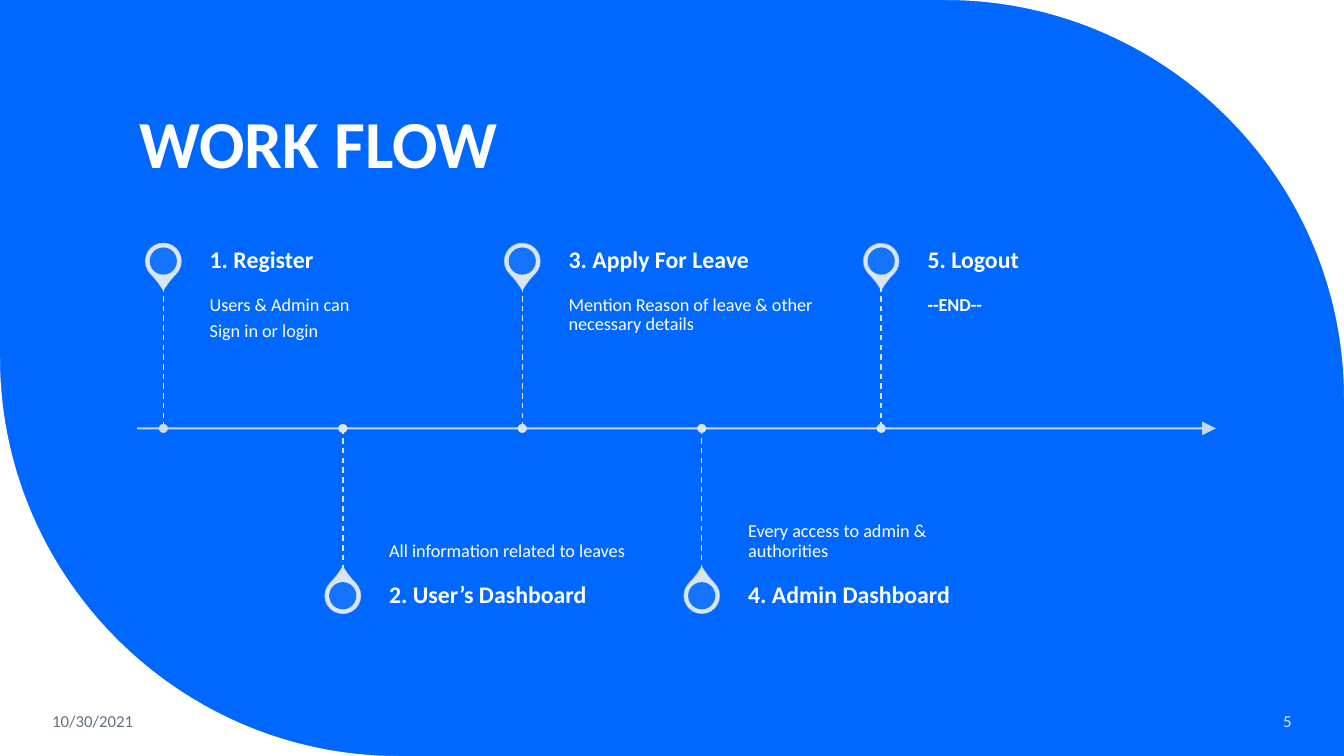
"""Build the work flow timeline slide."""
from dataclasses import dataclass

from lxml import etree
from pptx import Presentation
from pptx.dml.color import RGBColor
from pptx.enum.dml import MSO_LINE
from pptx.enum.shapes import MSO_CONNECTOR, MSO_SHAPE
from pptx.enum.text import MSO_ANCHOR, MSO_AUTO_SIZE, PP_ALIGN
from pptx.oxml.ns import qn
from pptx.util import Inches, Pt

OVAL, TEARDROP = MSO_SHAPE.OVAL, MSO_SHAPE.TEAR
STRAIGHT = MSO_CONNECTOR.STRAIGHT
DASH = MSO_LINE.DASH
TOP, MIDDLE, BOTTOM = MSO_ANCHOR.TOP, MSO_ANCHOR.MIDDLE, MSO_ANCHOR.BOTTOM
LEFT, RIGHT = PP_ALIGN.LEFT, PP_ALIGN.RIGHT
NO_AUTOFIT = MSO_AUTO_SIZE.NONE


@dataclass(frozen=True)
class Theme:
    font: str = "Calibri"
    blue: str = "0068FF"
    white: str = "FFFFFF"
    pale: str = "DAE5EF"
    first_dot: str = "D0DBE4"
    grey: str = "637183"
    title_size: int = 48
    heading_size: int = 17
    body_size: int = 13
    footer_size: int = 12


@dataclass(frozen=True)
class TextStyle:
    size: int
    color: str
    bold: bool = False
    anchor: MSO_ANCHOR = MIDDLE
    align: PP_ALIGN = LEFT
    insets: tuple = (0.1, 0.05, 0.1, 0.05)
    line_spacing: float = 1.0
    space_after: float = 0


@dataclass(frozen=True)
class Milestone:
    heading: str
    body: str
    outline_alpha: int
    dot_color: str = Theme.pale
    bold_body: bool = False


THEME = Theme()
WIDTH, HEIGHT = 13.33, 7.5
CORNER_RADIUS, CURVE_PULL = 3.95, 0.55
AXIS_Y = 4.25
FIRST_X, STEP_X = 1.62, 1.78
PIN_OFFSET, PIN_SIZE, HOLE_SIZE, DOT_SIZE = 1.66, 0.35, 0.27, 0.09
STEM = 1.41
TEXT_OFFSET, TEXT_WIDTH, HEADING_HEIGHT = 0.46, 2.54, 0.5

MILESTONES = (
    Milestone("1. Register", "Users & Admin can\nSign in or login", 90, THEME.first_dot),
    Milestone("2. User’s Dashboard", "All information related to leaves", 80),
    Milestone("3. Apply For Leave", "Mention Reason of leave & other necessary details", 70),
    Milestone("4. Admin Dashboard", "Every access to admin & authorities", 60),
    Milestone("5. Logout", "--END--", 50, bold_body=True),
)


def rgb(color: str) -> RGBColor:
    return RGBColor.from_string(color)


def set_alpha(parent, percent: int) -> None:
    color = parent.find(qn("a:solidFill")).find(qn("a:srgbClr"))
    etree.SubElement(color, qn("a:alpha")).set("val", str(percent * 1000))


def paint(shape, color: str) -> None:
    shape.shadow.inherit = False
    shape.fill.solid()
    shape.fill.fore_color.rgb = rgb(color)
    shape.line.fill.background()


def write(shape, text: str, style: TextStyle) -> None:
    frame = shape.text_frame
    frame.text = text
    frame.word_wrap = True
    frame.auto_size = NO_AUTOFIT
    frame.vertical_anchor = style.anchor
    (frame.margin_left, frame.margin_top,
     frame.margin_right, frame.margin_bottom) = map(Inches, style.insets)
    for paragraph in frame.paragraphs:
        paragraph.alignment = style.align
        paragraph.line_spacing = style.line_spacing
        paragraph.space_after = Pt(style.space_after)
        for run in paragraph.runs:
            run.font.name = THEME.font
            run.font.size = Pt(style.size)
            run.font.bold = style.bold
            run.font.color.rgb = rgb(style.color)


def add_text(slide, box: tuple, text: str, style: TextStyle) -> None:
    write(slide.shapes.add_textbox(*map(Inches, box)), text, style)


def add_centered(slide, kind: MSO_SHAPE, x: float, y: float, size: float, color: str):
    shape = slide.shapes.add_shape(
        kind, Inches(x - size / 2), Inches(y - size / 2), Inches(size), Inches(size))
    paint(shape, color)
    return shape


def add_line(slide, start: tuple, end: tuple, width: float):
    line = slide.shapes.add_connector(STRAIGHT, *map(Inches, start + end))
    line.line.color.rgb = rgb(THEME.pale)
    line.line.width = Pt(width)
    etree.SubElement(line.element.spPr, qn("a:effectLst"))
    return line


def add_corner(slide, corner: tuple, direction: int) -> None:
    """Draw the white area between a slide corner and its rounded edge."""
    x, y = map(Inches, corner)
    reach = direction * Inches(CORNER_RADIUS)
    builder = slide.shapes.build_freeform(x, y)
    builder.add_line_segments([(x - reach, y), (x, y + reach)], close=True)
    shape = builder.convert_to_shape()
    paint(shape, THEME.white)

    edge = list(shape.element.iter(qn("a:lnTo")))[1]
    edge.tag = qn("a:cubicBezTo")
    pull = CURVE_PULL * reach
    controls = ((x - reach + pull, y), (x, y + reach - pull))
    for position, (control_x, control_y) in enumerate(controls):
        point = etree.Element(qn("a:pt"))
        point.set("x", str(round(control_x - shape.left)))
        point.set("y", str(round(control_y - shape.top)))
        edge.insert(position, point)


def add_axis(slide) -> None:
    axis = add_line(slide, (1.36, AXIS_Y), (12.06, AXIS_Y), 1.5)
    outline = axis.element.spPr.find(qn("a:ln"))
    set_alpha(outline, 90)
    arrowhead = etree.SubElement(outline, qn("a:tailEnd"))
    for name, value in (("type", "triangle"), ("w", "lg"), ("len", "lg")):
        arrowhead.set(name, value)


def add_milestone(slide, index: int, milestone: Milestone) -> None:
    above = index % 2 == 0
    side = -1 if above else 1
    x = FIRST_X + index * STEP_X
    pin_y = AXIS_Y + side * PIN_OFFSET
    text_x = x + TEXT_OFFSET

    pin = add_centered(slide, TEARDROP, x, pin_y, PIN_SIZE, THEME.pale)
    pin.adjustments[0] = 1.15
    pin.rotation = 135 if above else 315
    pin.line.color.rgb = rgb(THEME.pale)
    pin.line.width = Pt(1)
    set_alpha(pin.element.spPr.find(qn("a:ln")), milestone.outline_alpha)
    hole = add_centered(slide, OVAL, x, pin_y, HOLE_SIZE, THEME.blue)
    set_alpha(hole.element.spPr, 90)

    body_style = TextStyle(
        THEME.body_size, THEME.white, milestone.bold_body, TOP if above else BOTTOM,
        insets=(0, 0.09, 0.09, 0.14) if above else (0, 0.14, 0, 0.09),
        line_spacing=0.9, space_after=4.55)
    body_top = AXIS_Y - STEM if above else AXIS_Y
    add_text(slide, (text_x, body_top, TEXT_WIDTH, STEM), milestone.body, body_style)
    heading_style = TextStyle(THEME.heading_size, THEME.white, True,
                              insets=(0, 0, 0.12, 0), line_spacing=0.9)
    add_text(slide, (text_x, pin_y - HEADING_HEIGHT / 2, TEXT_WIDTH, HEADING_HEIGHT),
             milestone.heading, heading_style)

    ends = sorted((AXIS_Y, AXIS_Y + side * STEM))
    stem = add_line(slide, (x, ends[0]), (x, ends[1]), 1)
    stem.line.dash_style = DASH
    add_centered(slide, OVAL, x, AXIS_Y, DOT_SIZE, milestone.dot_color)


def main() -> None:
    presentation = Presentation()
    presentation.slide_width, presentation.slide_height = Inches(WIDTH), Inches(HEIGHT)
    slide = presentation.slides.add_slide(presentation.slide_layouts[5])
    slide.background.fill.solid()
    slide.background.fill.fore_color.rgb = rgb(THEME.blue)
    add_corner(slide, (WIDTH, 0), 1)
    add_corner(slide, (0, HEIGHT), -1)

    title = slide.shapes.title
    title.left, title.top, title.width, title.height = map(Inches, (1.28, 0.42, 10.69, 1.45))
    write(title, "WORK FLOW", TextStyle(
        THEME.title_size, THEME.white, True, BOTTOM, line_spacing=0.9))

    add_axis(slide)
    for index, milestone in enumerate(MILESTONES):
        add_milestone(slide, index, milestone)

    add_text(slide, (0.42, 6.95, 1.86, 0.4), "10/30/2021",
             TextStyle(THEME.footer_size, THEME.grey))
    add_text(slide, (11.1, 6.95, 1.81, 0.4), "5",
             TextStyle(THEME.footer_size, THEME.pale, align=RIGHT))
    presentation.save("out.pptx")


if __name__ == "__main__":
    main()
